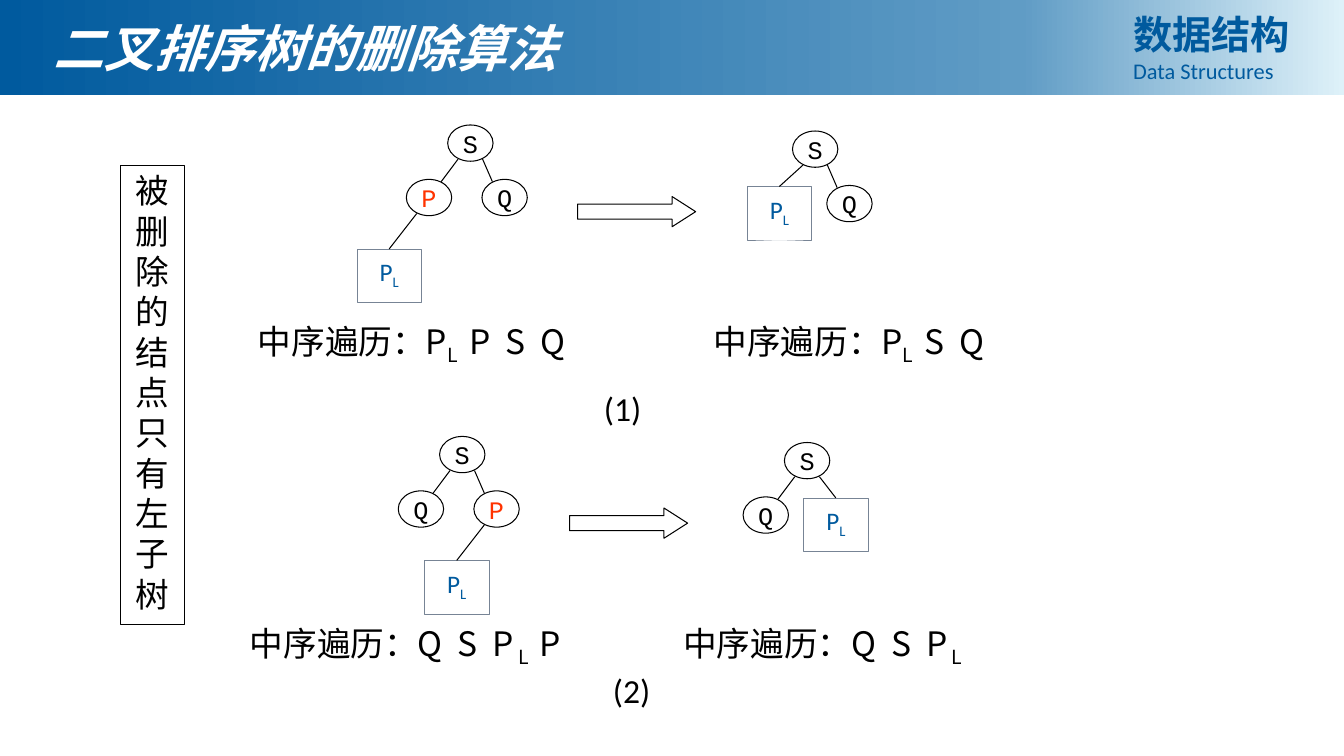
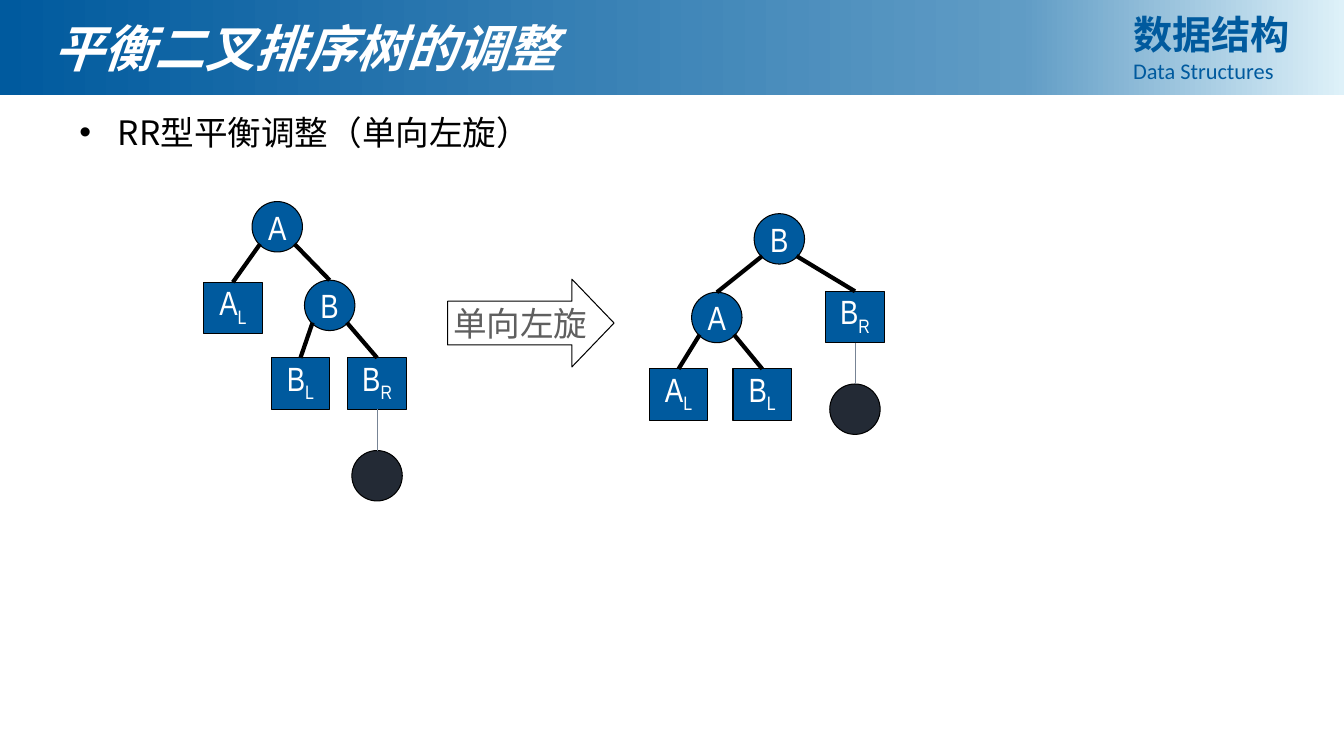
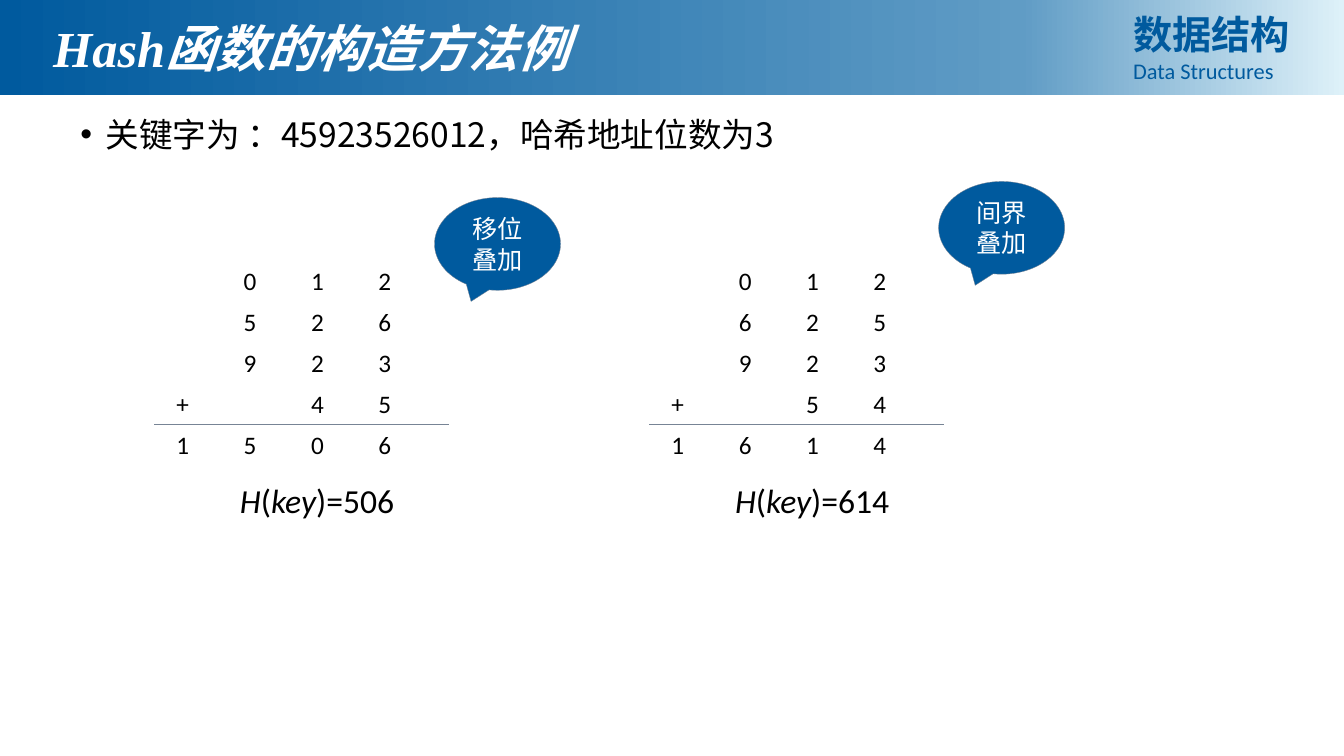
from collections import namedtuple
from copy import deepcopy

from pptx import Presentation
from pptx.dml.color import RGBColor
from pptx.enum.shapes import MSO_CONNECTOR, MSO_SHAPE
from pptx.enum.text import MSO_ANCHOR, PP_ALIGN
from pptx.oxml.ns import qn
from pptx.util import Inches, Pt

BLUE = RGBColor(0x00, 0x5A, 0x9E)
MID_BLUE = RGBColor(0x60, 0x9C, 0xC5)
PALE_BLUE = RGBColor(0xDE, 0xF1, 0xF9)
SLATE = RGBColor(0x77, 0x84, 0x95)
DARK = RGBColor(0x23, 0x2A, 0x35)
GREY = RGBColor(0x5F, 0x5F, 0x5F)
RED = RGBColor(0xFF, 0x33, 0x00)
BLACK = RGBColor(0x00, 0x00, 0x00)
WHITE = RGBColor(0xFF, 0xFF, 0xFF)

HAN = "Noto Sans CJK SC"
CALIBRI = "Calibri"
COURIER = "Courier New"
NARROW = "Arial Narrow"
TIMES = "Times New Roman"

LEFT, CENTER, JUSTIFY = PP_ALIGN.LEFT, PP_ALIGN.CENTER, PP_ALIGN.JUSTIFY
TOP, MIDDLE = MSO_ANCHOR.TOP, MSO_ANCHOR.MIDDLE
RECTANGLE, OVAL = MSO_SHAPE.RECTANGLE, MSO_SHAPE.OVAL
ARROW, CALLOUT = MSO_SHAPE.RIGHT_ARROW, MSO_SHAPE.OVAL_CALLOUT
STRAIGHT = MSO_CONNECTOR.STRAIGHT
TOP_SIDE, BOTTOM_SIDE = 0, 2
PLAIN_TABLE = "{2D5ABB26-0587-4C30-8999-92F81FD0307C}"

NodeStyle = namedtuple("NodeStyle", "kind width height fill line weight font size color")
KEY = NodeStyle(OVAL, 0.45, 0.36, None, BLACK, 0.75, COURIER, 18, BLACK)
SUBTREE = NodeStyle(RECTANGLE, 0.64, 0.53, None, SLATE, 0.25, CALIBRI, 18, BLUE)
DISC = NodeStyle(OVAL, 0.5, 0.5, BLUE, BLACK, 0.75, NARROW, 24, WHITE)
BLOCK = DISC._replace(kind=RECTANGLE, width=0.58, height=0.51)
INSERTED = DISC._replace(fill=DARK)


def style(para, name, size, color, align=LEFT, bold=False, italic=False):
    font = para.font
    font.name, font.size = name, Pt(size)
    font.bold, font.italic = bold, italic
    font.color.rgb = color
    east_asian = font._rPr.makeelement(qn("a:ea"), {"typeface": HAN})
    font._rPr.find(qn("a:latin")).addnext(east_asian)
    para.alignment = align
    para.line_spacing = Pt(1.2 * size)


def add_spans(para, text):
    """Add runs; the character after each underscore is a subscript."""
    first, *rest = text.split("_")
    para.add_run().text = first
    for part in rest:
        below = para.add_run()
        below.text = part[0]
        below.font._rPr.set("baseline", "-25000")
        if part[1:]:
            para.add_run().text = part[1:]


def add_box(page, left, top, width, height, anchor=TOP):
    box = page.shapes.add_textbox(Inches(left), Inches(top), Inches(width), Inches(height))
    box.text_frame.word_wrap = True
    box.text_frame.vertical_anchor = anchor
    return box.text_frame.paragraphs[0]


def add_figure(page, kind, left, top, width, height, fill=None, line=None, weight=0.75):
    figure = page.shapes.add_shape(
        kind, Inches(left), Inches(top), Inches(width), Inches(height))
    figure.shadow.inherit = False
    if fill is None:
        figure.fill.background()
    else:
        figure.fill.solid()
        figure.fill.fore_color.rgb = fill
    if line is None:
        figure.line.fill.background()
    else:
        figure.line.color.rgb = line
        figure.line.width = Pt(weight)
    return figure


def add_line(page, start, end, color, weight):
    """Draw a line between two points given in EMU."""
    line = page.shapes.add_connector(STRAIGHT, *start, *end)
    line.line.color.rgb = color
    line.line.width = Pt(weight)
    properties = line._element.spPr
    properties.append(properties.makeelement(qn("a:effectLst"), {}))
    return line


def add_node(page, look, left, top, text="", color=None):
    node = add_figure(page, look.kind, left, top, look.width, look.height,
                      look.fill, look.line, look.weight)
    if text:
        frame = node.text_frame
        frame.word_wrap = False
        frame.vertical_anchor = MIDDLE
        para = frame.paragraphs[0]
        add_spans(para, text)
        style(para, look.font, look.size, color or look.color, CENTER)
    return node


def rim_point(node, side, below, reach):
    """Point on the rim of an oval; side and below are 1 or -1."""
    return (round(node.left + node.width * (0.5 + side * reach[0])),
            round(node.top + node.height * (0.5 + below * reach[1])))


def link(page, parent, child, weight, reach, to_top=True):
    """Join the lower rim of a parent to the top or the upper rim of a child."""
    side = 1 if child.left + child.width / 2 > parent.left + parent.width / 2 else -1
    line = add_line(page, rim_point(parent, side, 1, reach),
                    rim_point(child, -side, -1, reach), BLACK, weight)
    if to_top:
        line.end_connect(child, TOP_SIDE)


def add_header(page, title):
    band = add_figure(page, RECTANGLE, 0, 0, 13.33, 0.94)
    band.fill.gradient()
    band.fill.gradient_angle = 0
    stops = band._element.spPr.find(".//" + qn("a:gsLst"))
    stops.append(deepcopy(stops[0]))
    shades = ((0, BLUE), (0.76, MID_BLUE), (1, PALE_BLUE))
    for stop, (position, color) in zip(band.fill.gradient_stops, shades):
        stop.position = position
        stop.color.rgb = color

    course = add_box(page, 11.14, 0.05, 1.91, 0.84)
    course.text = "数据结构"
    style(course, HAN, 28, BLUE, JUSTIFY, bold=True)
    english = course._parent.add_paragraph()
    english.text = "Data Structures"
    style(english, CALIBRI, 16, BLUE, JUSTIFY)

    heading = add_box(page, 0.43, 0.12, 6.7, 0.71)
    heading.text = title
    style(heading, TIMES, 36, WHITE, bold=True, italic=True)


def add_bullet(page, text, left, top, width, indent):
    para = add_box(page, left, top, width, 5.33)
    para.text = text
    properties = para._p.get_or_add_pPr()
    properties.set("marL", str(Inches(indent)))
    properties.set("indent", str(-Inches(indent)))
    for tag, key, value in (("a:buFont", "typeface", "Arial"), ("a:buChar", "char", "•")):
        properties.append(properties.makeelement(qn(tag), {key: value}))
    style(para, HAN, 24, BLACK)


def add_traversal(page, left, top, order):
    para = add_box(page, left, top, 3.7, 0.51, MIDDLE)
    para.add_run().text = "中序遍历："
    add_spans(para, order)
    for span in para.runs:
        if " " in span.text:
            span.font._rPr.set("spc", "270")
    style(para, HAN, 24, BLACK)


def add_key_tree(page, left, top, removed_side, deleted):
    """Tree of S with Q on one side and, on the other, P or what replaces it."""
    reach = (0.27, 0.44)
    child_left = {-1: left - 0.41, 1: left + 0.34}
    root = add_node(page, KEY, left, top, "S")
    kept = add_node(page, KEY, child_left[-removed_side], top + 0.54, "Q")
    link(page, root, kept, 0.75, reach, to_top=False)
    if deleted:
        subtree_left = left - 0.45 if removed_side < 0 else left + 0.19
        subtree = add_node(page, SUBTREE, subtree_left, top + 0.55, "P_L")
        link(page, root, subtree, 0.75, reach)
    else:
        removed_left = child_left[removed_side]
        removed = add_node(page, KEY, removed_left, top + 0.54, "P", RED)
        link(page, root, removed, 0.75, reach, to_top=False)
        subtree = add_node(page, SUBTREE, removed_left - 0.49, top + 1.23, "P_L")
        link(page, removed, subtree, 0.75, reach)


def add_deletion_case(page, left, top, removed_side, orders, order_top, after_left, number):
    """Trees before and after a deletion; left and top place the first root."""
    add_key_tree(page, left, top, removed_side, deleted=False)
    add_key_tree(page, left + 3.42, top + 0.06, removed_side, deleted=True)
    arrow = add_figure(page, ARROW, left + 1.29, top + 0.71, 1.17, 0.3, line=BLACK)
    arrow.adjustments[1] = 0.78
    for order, offset in zip(orders, (-1.98, after_left)):
        add_traversal(page, left + offset, top + order_top, order)
    text, number_left, number_top = number
    label = add_box(page, left + number_left, top + number_top, 0.77, 0.53, MIDDLE)
    label.text = text
    style(label, CALIBRI, 24, BLACK, CENTER)


def add_deletion_slide(page):
    add_header(page, "二叉排序树的删除算法")
    add_deletion_case(page, 4.44, 1.24, -1, ("P_L P S Q", "P_L S Q"),
                      1.94, 2.54, ("(1)", 1.35, 2.54))
    add_deletion_case(page, 4.36, 4.33, 1, ("Q S P_L P", "Q S P_L"),
                      1.85, 2.32, ("(2)", 1.52, 2.25))
    condition = add_figure(page, RECTANGLE, 1.19, 1.64, 0.64, 4.55, WHITE, BLACK, 0.25)
    frame = condition.text_frame
    frame.vertical_anchor = TOP
    frame.text = "被删除的结点只有左子树"
    style(frame.paragraphs[0], HAN, 24, BLACK, CENTER)


def add_rotation_tree(page, left, top, places, edges):
    """Place nodes relative to the root; the last edge leads to the new node."""
    nodes = {}
    for name, (look, x, y) in places.items():
        text = "" if look is INSERTED else name
        nodes[name] = add_node(page, look, left + x, top + y, text)
    for parent, child in edges:
        link(page, nodes[parent], nodes[child], 3, (0.34, 0.34))
    thread = add_line(page, (0, 0), (0, 0), SLATE, 0.25)
    thread.begin_connect(nodes["B_R"], BOTTOM_SIDE)
    thread.end_connect(nodes["new"], TOP_SIDE)


def add_rotation_slide(page):
    add_header(page, "平衡二叉排序树的调整")
    add_bullet(page, "RR型平衡调整（单向左旋）", 0.69, 1.06, 9, 0.38)
    arrow = add_figure(page, ARROW, 4.44, 2.77, 1.65, 0.87, WHITE, BLACK)
    arrow.adjustments[1] = 0.48
    frame = arrow.text_frame
    frame.word_wrap = False
    frame.vertical_anchor = MIDDLE
    frame.text = "单向左旋"
    style(frame.paragraphs[0], HAN, 24, GREY, CENTER)

    add_rotation_tree(
        page, 2.5, 2,
        {"A": (DISC, 0, 0), "B": (DISC, 0.52, 0.78), "A_L": (BLOCK, -0.48, 0.8),
         "B_L": (BLOCK, 0.19, 1.55), "B_R": (BLOCK, 0.95, 1.55),
         "new": (INSERTED, 0.99, 2.47)},
        (("A", "A_L"), ("A", "B"), ("B", "B_L"), ("B", "B_R")))
    add_rotation_tree(
        page, 7.48, 2.12,
        {"B": (DISC, 0, 0), "A": (DISC, -0.62, 0.78), "B_R": (BLOCK, 0.71, 0.77),
         "A_L": (BLOCK, -1.04, 1.54), "B_L": (BLOCK, -0.21, 1.54),
         "new": (INSERTED, 0.75, 1.69)},
        (("B", "A"), ("B", "B_R"), ("A", "A_L"), ("A", "B_L")))


def add_sum_table(page, left, top, rows):
    table = page.shapes.add_table(len(rows), 4, Inches(left), Inches(top),
                                  Inches(2.67), Inches(2.03)).table
    table.first_row = table.horz_banding = False
    table._tbl.tblPr.find(qn("a:tableStyleId")).text = PLAIN_TABLE
    for row, digits in enumerate(rows):
        for column, digit in enumerate(digits):
            cell = table.cell(row, column)
            cell.fill.background()
            cell.text = digit.strip()
            style(cell.text_frame.paragraphs[0], CALIBRI, 18, BLACK)


def add_folding(page, left, top, rows, address, method, callout_left, callout_top):
    """A written addition with its method and result; left and top place the table."""
    add_sum_table(page, left, top, rows)
    rule_left, rule_top = left - 0.12, top + 1.61
    add_line(page, (Inches(rule_left), Inches(rule_top)),
             (Inches(rule_left + 2.92), Inches(rule_top)), SLATE, 0.25)
    callout = add_figure(page, CALLOUT, left + callout_left, top + callout_top,
                         1.25, 0.92, BLUE, SLATE, 0.25)
    callout.adjustments[0], callout.adjustments[1] = -0.21, 0.62
    frame = callout.text_frame
    frame.vertical_anchor = MIDDLE
    frame.text = method
    style(frame.paragraphs[0], COURIER, 18, WHITE, CENTER)

    result = add_box(page, left - 0.17, top + 2.11, 3.33, 0.51)
    for text, italic in (("H", True), ("(", False), ("key", True), (f")={address}", False)):
        span = result.add_run()
        span.text = text
        span.font.italic = italic
    style(result, CALIBRI, 24, BLACK, CENTER)


def add_hash_slide(page):
    add_header(page, "Hash函数的构造方法例")
    add_bullet(page, "关键字为 ：45923526012，哈希地址位数为3", 0.7, 1.08, 11.76, 0.25)
    add_folding(page, 1.65, 2.6, (" 012", " 526", " 923", "+ 45", "1506"),
                506, "移位叠加", 2.66, -0.64)
    add_folding(page, 6.56, 2.6, (" 012", " 625", " 923", "+ 54", "1614"),
                614, "间界叠加", 2.75, -0.8)


def main():
    deck = Presentation()
    deck.slide_width, deck.slide_height = Inches(13.33), Inches(7.5)
    blank = deck.slide_layouts[6]
    for build in (add_deletion_slide, add_rotation_slide, add_hash_slide):
        build(deck.slides.add_slide(blank))
    deck.save("out.pptx")


if __name__ == "__main__":
    main()
